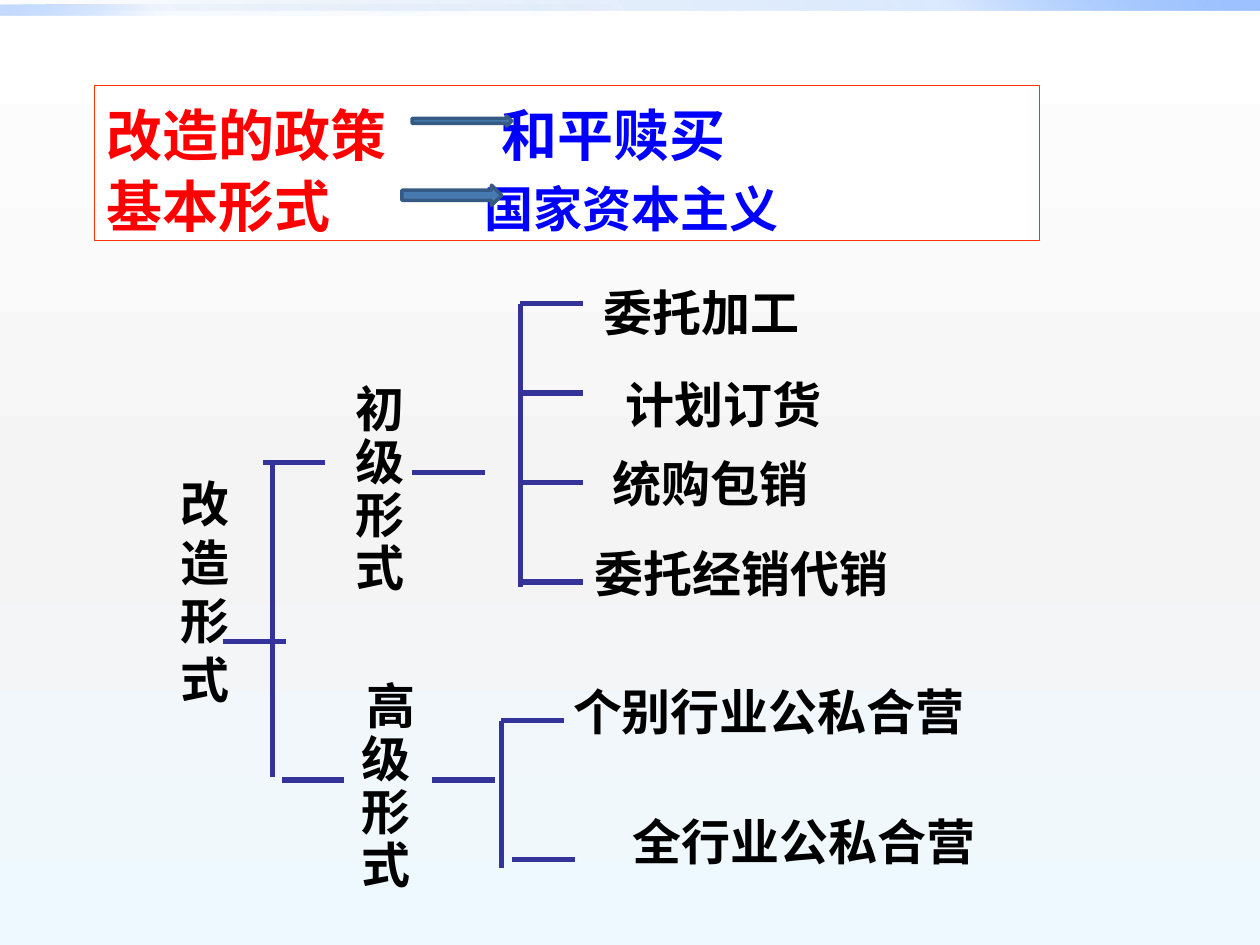
import pptx
import pptx.dml.color
import pptx.enum.shapes
import pptx.enum.text
import pptx.oxml.ns
import pptx.util
from lxml import etree

Inch, Pt = pptx.util.Inches, pptx.util.Pt
RGB = pptx.dml.color.RGBColor
Kind = pptx.enum.shapes.MSO_SHAPE
Align = pptx.enum.text.PP_ALIGN
qn = pptx.oxml.ns.qn

RED, BLUE, BLACK = RGB(255, 0, 0), RGB(0, 0, 255), RGB(0, 0, 0)
WHITE, EDGE, NAVY = RGB(255, 255, 255), RGB(255, 51, 0), RGB(51, 51, 153)
STEEL, DEEP = RGB(0x47, 0x7A, 0xB1), RGB(0x35, 0x5A, 0x83)
SKY = [RGB(0, 0x58, 0xB7), RGB(0x4F, 0x95, 0xFF), RGB(0x9E, 0xC2, 0xFF)]
PALE = [WHITE, RGB(0xF4, 0xF4, 0xF4), RGB(0xEE, 0xF9, 0xFF)]
SANS, SERIF = "Noto Sans CJK SC", "Times New Roman"


def grade(fill, root, stops, angle):
    """Give a fill a gradient of (percent, colour, opacity) stops."""
    fill.gradient()
    grad = next(root.iter(qn("a:gradFill")))
    grad.find(qn("a:lin")).set("ang", str(angle * 60000))
    stop_list = grad.find(qn("a:gsLst"))
    for old in list(stop_list):
        stop_list.remove(old)
    for place, color, alpha in stops:
        stop = etree.SubElement(stop_list, qn("a:gs"), pos=str(place * 1000))
        tint = etree.SubElement(stop, qn("a:srgbClr"), val=str(color))
        etree.SubElement(tint, qn("a:alpha"), val=str(alpha * 1000))


def style(para, name, size, pitch):
    """Set the bold font and line pitch of a paragraph."""
    para.line_spacing = Pt(pitch)
    font = para.font
    font.name, font.size, font.bold = name, Pt(size), True
    font.color.rgb = BLACK
    etree.SubElement(font._rPr, qn("a:ea"), typeface=SANS)


deck = pptx.Presentation()
deck.slide_width, deck.slide_height = Inch(10), Inch(7.5)
slide = deck.slides.add_slide(deck.slide_layouts[6])
shapes = slide.shapes

# Background and the two bands along the top
back = slide.background
grade(back.fill, slide.element, zip((0, 55, 100), PALE, (100,) * 3), 90)
for top, width, angle, fade in [(0, 10, 315, (0, 20, 100)), (0.04, 5, 135, (0, 5, 60))]:
    band = shapes.add_shape(Kind.RECTANGLE, 0, Inch(top), Inch(width), Inch(0.08))
    band.shadow.inherit = False
    band.line.fill.background()
    grade(band.fill, band.element, zip((0, 75, 100), SKY, fade), angle)

# Policy box
box = shapes.add_textbox(Inch(0.75), Inch(0.68), Inch(7.5), Inch(1.23))
box.fill.solid()
box.fill.fore_color.rgb = WHITE
box.line.color.rgb, box.line.width = EDGE, Pt(1)
frame = box.text_frame
frame.word_wrap = True
frame.margin_top = Inch(0.08)
rows = [("改造的政策", "和平赎买", 32, 3.13), ("基本形式", "国家资本主义", 28, 3)]
for i, (topic, answer, size, stop) in enumerate(rows):
    para = frame.paragraphs[0] if i == 0 else frame.add_paragraph()
    tabs = etree.SubElement(para._p.get_or_add_pPr(), qn("a:tabLst"))
    etree.SubElement(tabs, qn("a:tab"), pos=str(Inch(stop)), algn="l")
    style(para, SERIF, 32, 41)
    for words, color, points in [(topic + "\t", RED, 32), (answer, BLUE, size)]:
        run = para.add_run()
        run.text = words
        run.font.color.rgb, run.font.size = color, Pt(points)

# Labels: text, left, top, width, height, line pitch, alignment
labels = [
    ("改\n造\n形\n式", 1.33, 3.67, 0.59, 1.97, 33.5, Align.CENTER),
    ("初\n级\n形\n式", 2.72, 2.96, 0.59, 1.78, 30.3, Align.CENTER),
    ("高\n级\n形\n式", 2.72, 5.32, 0.68, 1.78, 30.3, Align.CENTER),
    ("委托加工", 4.69, 2.15, 1.76, 0.57, 33.6, Align.LEFT),
    ("计划订货", 4.61, 2.88, 2.01, 0.57, 33.6, Align.RIGHT),
    ("统购包销", 4.76, 3.51, 1.76, 0.57, 33.6, Align.CENTER),
    ("委托经销代销", 4.61, 4.22, 2.55, 0.57, 33.6, Align.CENTER),
    ("个别行业公私合营", 4.45, 5.32, 3.33, 0.57, 33.6, Align.LEFT),
    ("全行业公私合营", 4.53, 6.35, 3.7, 0.57, 33.6, Align.CENTER),
]
for words, left, top, width, height, pitch, align in labels:
    label = shapes.add_textbox(Inch(left), Inch(top), Inch(width), Inch(height))
    frame = label.text_frame
    frame.word_wrap = False
    frame.margin_top = Inch(0.09)
    frame.text = words
    for para in frame.paragraphs:
        para.alignment = align
        style(para, SANS, 28, pitch)
    if words.startswith("高"):
        frame.paragraphs[0]._p.pPr.set("marL", str(Inch(0.08)))

# Brackets: level strokes (left, y, length), then upright ones (x, top, length)
level = [(2.09, 3.67, 0.49), (2.24, 6.19, 0.49), (1.77, 5.09, 0.5),
         (3.27, 3.75, 0.58), (3.43, 6.19, 0.5),
         (3.98, 5.72, 0.5), (4.06, 6.82, 0.5)]
level += [(4.13, y, 0.5) for y in (2.41, 3.12, 3.83, 4.62)]
upright = [(2.16, 3.67, 2.5), (4.13, 2.41, 2.25), (3.98, 5.72, 1.17)]
strokes = [(x, y, x + size, y) for x, y, size in level]
strokes += [(x, y, x, y + size) for x, y, size in upright]
for ends in strokes:
    line = shapes.add_connector(
        pptx.enum.shapes.MSO_CONNECTOR.STRAIGHT, *[Inch(end) for end in ends])
    line.line.color.rgb, line.line.width = NAVY, Pt(3)
    etree.SubElement(line.element.spPr, qn("a:effectLst"))

# Arrows from topic to answer
for left, top, height in [(3.27, 0.92, 0.08), (3.19, 1.47, 0.16)]:
    arrow = shapes.add_shape(
        Kind.RIGHT_ARROW, Inch(left), Inch(top), Inch(0.79), Inch(height))
    arrow.shadow.inherit = False
    arrow.fill.solid()
    arrow.fill.fore_color.rgb = STEEL
    arrow.line.color.rgb, arrow.line.width = DEEP, Pt(2)

deck.save("out.pptx")
